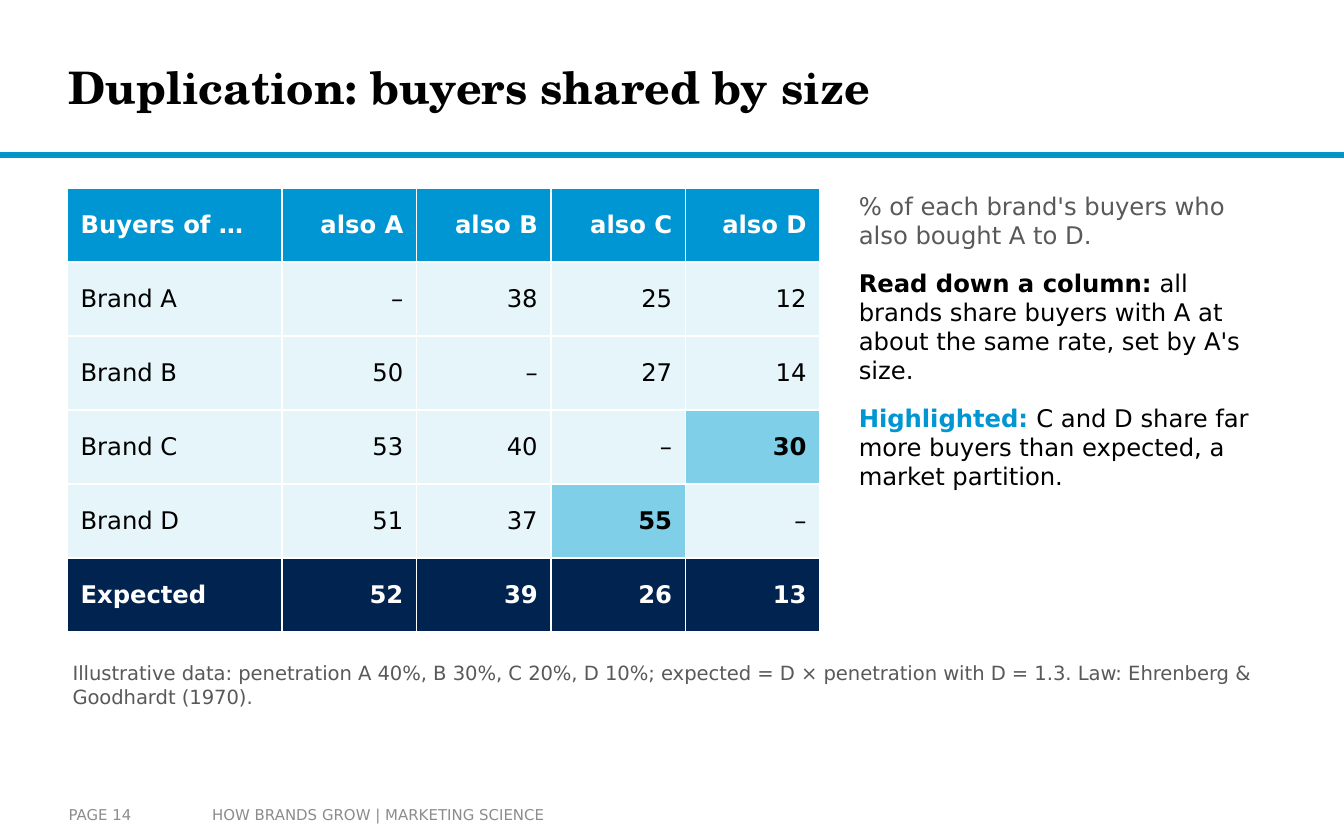
from dataclasses import dataclass

from pptx import Presentation
from pptx.dml.color import RGBColor
from pptx.enum.shapes import MSO_SHAPE
from pptx.enum.text import MSO_ANCHOR, MSO_AUTO_SIZE, PP_ALIGN
from pptx.util import Pt

PX = 9144  # 100 px to the inch


@dataclass(frozen=True)
class Theme:
    heading_font: str = "TeX Gyre Schola"
    body_font: str = "DejaVu Sans"
    black: str = "000000"
    white: str = "FFFFFF"
    blue: str = "0096D3"
    rule: str = "0C94B7"
    navy: str = "002350"
    pale: str = "E5F5FA"
    highlight: str = "80CFE9"
    grey: str = "595959"
    footer_grey: str = "8C8C8C"
    title_size: float = 24
    body_size: float = 13
    source_size: float = 10.5
    footer_size: float = 8


theme = Theme()


def style_run(run, size, color, bold=False, font=theme.body_font):
    run.font.name = font
    run.font.size = Pt(size)
    run.font.bold = bold
    run.font.color.rgb = RGBColor.from_string(color)


def add_text(box, margins, paragraphs, size, anchor=MSO_ANCHOR.TOP, space_after=0):
    """Add a text box; each paragraph is a list of (text, color, bold) runs."""
    shape = slide.shapes.add_textbox(*(value * PX for value in box))
    frame = shape.text_frame
    frame.word_wrap = True
    frame.vertical_anchor = anchor
    frame.margin_left = frame.margin_right = margins[0] * PX
    frame.margin_top = frame.margin_bottom = margins[1] * PX
    for index, runs in enumerate(paragraphs):
        paragraph = frame.add_paragraph() if index else frame.paragraphs[0]
        paragraph.space_after = Pt(space_after)
        for text, color, bold in runs:
            run = paragraph.add_run()
            run.text = text
            style_run(run, size, color, bold)


presentation = Presentation()
presentation.slide_width = 1000 * PX
presentation.slide_height = 625 * PX
slide = presentation.slides.add_slide(presentation.slide_layouts[5])

# Title
title = slide.shapes.title
title.left, title.top, title.width, title.height = 51 * PX, 15 * PX, 748 * PX, 99 * PX
frame = title.text_frame
frame.text = "Duplication: buyers shared by size"
frame.auto_size = MSO_AUTO_SIZE.NONE
frame.vertical_anchor = MSO_ANCHOR.MIDDLE
frame.margin_left = frame.margin_right = frame.margin_top = frame.margin_bottom = 0
frame.paragraphs[0].alignment = PP_ALIGN.LEFT
style_run(frame.paragraphs[0].runs[0], theme.title_size, theme.black, True, theme.heading_font)

# Rule under the title
rule = slide.shapes.add_shape(MSO_SHAPE.RECTANGLE, 0, 114 * PX, 1000 * PX, 3 * PX)
rule.shadow.inherit = False
rule.fill.solid()
rule.fill.fore_color.rgb = RGBColor.from_string(theme.rule)
rule.line.color.rgb = RGBColor.from_string(theme.blue)
rule.line.width = Pt(1)

# Duplication table; the default style supplies the white borders
rows = [
    ["Buyers of …", "also A", "also B", "also C", "also D"],
    ["Brand A", "–", "38", "25", "12"],
    ["Brand B", "50", "–", "27", "14"],
    ["Brand C", "53", "40", "–", "30"],
    ["Brand D", "51", "37", "55", "–"],
    ["Expected", "52", "39", "26", "13"],
]
partition_cells = {(3, 4), (4, 3)}
band_fills = {0: theme.blue, len(rows) - 1: theme.navy}

table = slide.shapes.add_table(
    len(rows), len(rows[0]), 50 * PX, 140 * PX, 560 * PX, 330 * PX
).table
table.horz_banding = False
for index, column in enumerate(table.columns):
    column.width = (100 if index else 160) * PX
for row_index, row in enumerate(rows):
    table.rows[row_index].height = 55 * PX
    for column_index, text in enumerate(row):
        in_band = row_index in band_fills
        in_partition = (row_index, column_index) in partition_cells
        fill = theme.highlight if in_partition else band_fills.get(row_index, theme.pale)
        cell = table.cell(row_index, column_index)
        cell.fill.solid()
        cell.fill.fore_color.rgb = RGBColor.from_string(fill)
        cell.vertical_anchor = MSO_ANCHOR.MIDDLE
        cell.text_frame.text = text
        paragraph = cell.text_frame.paragraphs[0]
        paragraph.alignment = PP_ALIGN.RIGHT if column_index else PP_ALIGN.LEFT
        color = theme.white if in_band else theme.black
        style_run(paragraph.runs[0], theme.body_size, color, in_band or in_partition)

# Reading notes beside the table
notes = [
    [("% of each brand's buyers who also bought A to D.", theme.grey, False)],
    [
        ("Read down a column: ", theme.black, True),
        ("all brands share buyers with A at about the same rate, set by A's size.",
         theme.black, False),
    ],
    [
        ("Highlighted: ", theme.blue, True),
        ("C and D share far more buyers than expected, a market partition.",
         theme.black, False),
    ],
]
add_text((635, 140, 315, 330), (4, 2), notes, theme.body_size, space_after=10)

# Source line
source = (
    "Illustrative data: penetration A 40%, B 30%, C 20%, D 10%; expected = D × penetration "
    "with D = 1.3. Law: Ehrenberg & Goodhardt (1970)."
)
add_text((50, 490, 900, 35), (4, 2), [[(source, theme.grey, False)]], theme.source_size)

# Footer
for left, width, margin, text in [
    (51, 98, 0, "PAGE 14"),
    (148, 352, 10, "HOW BRANDS GROW | MARKETING SCIENCE"),
]:
    add_text((left, 592, width, 28), (margin, 5), [[(text, theme.footer_grey, False)]],
             theme.footer_size, MSO_ANCHOR.MIDDLE)

presentation.save("out.pptx")
